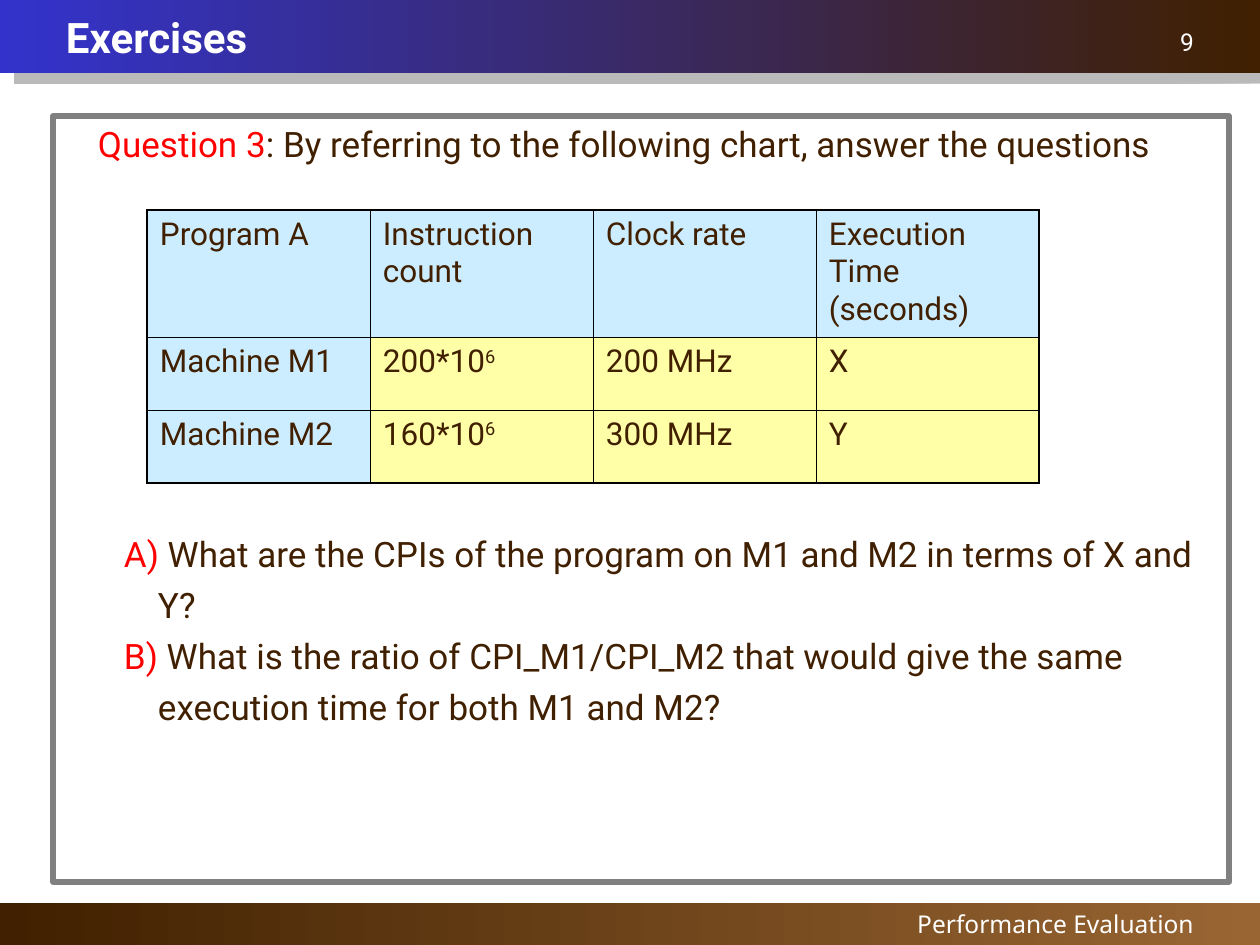
from lxml.etree import SubElement
from pptx import Presentation
from pptx.dml.color import RGBColor
from pptx.enum.shapes import MSO_SHAPE
from pptx.enum.text import MSO_ANCHOR, PP_ALIGN
from pptx.oxml.ns import qn
from pptx.util import Emu, Pt

SCALE = 914400 / 126
BROWN = "402000"
RED = "FF0000"
WHITE = "FFFFFF"
BLUE_CELL = "CCECFF"
YELLOW_CELL = "FFFFA7"
INSETS = {"margin_left": 13, "margin_right": 13, "margin_top": 6, "margin_bottom": 6}

TABLE_ROWS = [
    ["Program A", "Instruction count", "Clock rate", "Execution Time (seconds)"],
    ["Machine M1", "200*10^6", "200 MHz", "X"],
    ["Machine M2", "160*10^6", "300 MHz", "Y"],
]
ROW_HEIGHTS = [127, 73, 73]
COLUMN_WIDTH = 223

QUESTION_LINES = [
    (32, 0, [("Question 3", RED), (": By referring to the following chart, answer the questions", BROWN)]),
    (58, 210, [("A)", RED), (" What are the CPIs of the program on M1 and M2 in terms of X and", BROWN)]),
    (92, 5, [("Y?", BROWN)]),
    (58, 5, [("B)", RED), (" What is the ratio of CPI_M1/CPI_M2 that would give the same", BROWN)]),
    (92, 5, [("execution time for both M1 and M2?", BROWN)]),
]


def px(length):
    return Emu(round(length * SCALE))


def rgb(value):
    return RGBColor.from_string(value)


def set_formats(target, formats):
    for name, value in formats.items():
        setattr(target, name, value)


def set_insets(target):
    set_formats(target, {name: px(length) for name, length in INSETS.items()})


def add_run(paragraph, text, size, color, font="Roboto", bold=False):
    run = paragraph.add_run()
    run.text = text
    set_formats(run.font, {"name": font, "size": Pt(size), "bold": bold})
    run.font.color.rgb = rgb(color)
    return run


def add_gradient_bar(slide, top, height, colors):
    shape = slide.shapes.add_shape(MSO_SHAPE.RECTANGLE, 0, px(top), px(1260), px(height))
    shape.shadow.inherit = False
    shape.line.fill.background()
    shape.fill.gradient()
    shape.fill.gradient_angle = 180
    for stop, position, color in zip(shape.fill.gradient_stops, (0, 1), colors):
        stop.position = position
        stop.color.rgb = rgb(color)
    return shape


def add_offset_shadow(shape):
    effects = shape._element.spPr.find(qn("a:effectLst"))
    shadow = SubElement(effects, qn("a:outerShdw"), blurRad="0", dist=str(Pt(10.4)),
                        dir=str(35 * 60000), algn="ctr", rotWithShape="0")
    color = SubElement(shadow, qn("a:srgbClr"), val="777777")
    SubElement(color, qn("a:alpha"), val="50000")


def add_label(slide, box, text, size, align=PP_ALIGN.LEFT, anchor=MSO_ANCHOR.TOP, **font):
    shape = slide.shapes.add_textbox(*map(px, box))
    frame = shape.text_frame
    set_formats(frame, {"word_wrap": True, "vertical_anchor": anchor})
    set_insets(frame)
    paragraph = frame.paragraphs[0]
    paragraph.alignment = align
    add_run(paragraph, text, size, WHITE, **font)


def add_question_box(slide):
    shape = slide.shapes.add_shape(MSO_SHAPE.RECTANGLE, *map(px, (53, 116, 1176, 766)))
    shape.shadow.inherit = False
    shape.fill.background()
    shape.line.color.rgb = rgb("808080")
    shape.line.width = Pt(3)
    frame = shape.text_frame
    set_formats(frame, {"word_wrap": True, "vertical_anchor": MSO_ANCHOR.TOP})
    set_insets(frame)
    for index, (indent, space, runs) in enumerate(QUESTION_LINES):
        paragraph = frame.add_paragraph() if index else frame.paragraphs[0]
        set_formats(paragraph, {"alignment": PP_ALIGN.LEFT, "line_spacing": 1.01, "space_before": Pt(space)})
        paragraph._p.get_or_add_pPr().set("marL", str(px(indent)))
        for text, color in runs:
            add_run(paragraph, text, 20, color)


def set_cell_borders(cell, widths):
    properties = cell._tc.get_or_add_tcPr()
    for index, (side, width) in enumerate(widths.items()):
        line = properties.makeelement(qn(f"a:ln{side}"), {"w": str(Pt(width))})
        SubElement(SubElement(line, qn("a:solidFill")), qn("a:srgbClr"), val="000000")
        properties.insert(index, line)


def fill_cell(cell, text, color):
    cell.fill.solid()
    cell.fill.fore_color.rgb = rgb(color)
    set_insets(cell)
    paragraph = cell.text_frame.paragraphs[0]
    paragraph.line_spacing = 1.01
    base, _, exponent = text.partition("^")
    add_run(paragraph, base, 18, BROWN)
    if exponent:
        run = add_run(paragraph, exponent, 18, BROWN)
        run._r.get_or_add_rPr().set("baseline", "30000")


def add_machine_table(slide):
    last_row, last_column = len(TABLE_ROWS) - 1, len(TABLE_ROWS[0]) - 1
    box = (147, 210, COLUMN_WIDTH * (last_column + 1), sum(ROW_HEIGHTS))
    table = slide.shapes.add_table(last_row + 1, last_column + 1, *map(px, box)).table
    set_formats(table, {"first_row": False, "horz_banding": False})
    for column in table.columns:
        column.width = px(COLUMN_WIDTH)
    for row, height in zip(table.rows, ROW_HEIGHTS):
        row.height = px(height)
    for row_index, texts in enumerate(TABLE_ROWS):
        for column_index, text in enumerate(texts):
            cell = table.cell(row_index, column_index)
            is_heading = row_index == 0 or column_index == 0
            fill_cell(cell, text, BLUE_CELL if is_heading else YELLOW_CELL)
            outer_sides = {"L": column_index == 0, "R": column_index == last_column,
                           "T": row_index == 0, "B": row_index == last_row}
            set_cell_borders(cell, {side: 1.08 if outer else 0.45 for side, outer in outer_sides.items()})


def main():
    presentation = Presentation()
    set_formats(presentation, {"slide_width": px(1260), "slide_height": px(945)})
    slide = presentation.slides.add_slide(presentation.slide_layouts[6])
    add_gradient_bar(slide, 903, 42, ("996633", BROWN))
    add_offset_shadow(add_gradient_bar(slide, 0, 73, (BROWN, "3333CC")))
    add_label(slide, (945, 21, 262, 43), "9", 14, PP_ALIGN.RIGHT)
    add_label(slide, (53, 0, 1154, 73), "Exercises", 24, anchor=MSO_ANCHOR.MIDDLE, bold=True)
    add_question_box(slide)
    add_machine_table(slide)
    add_label(slide, (577, 903, 630, 42), "Performance Evaluation", 14, PP_ALIGN.RIGHT, font="Noto Sans")
    presentation.save("out.pptx")


if __name__ == "__main__":
    main()
